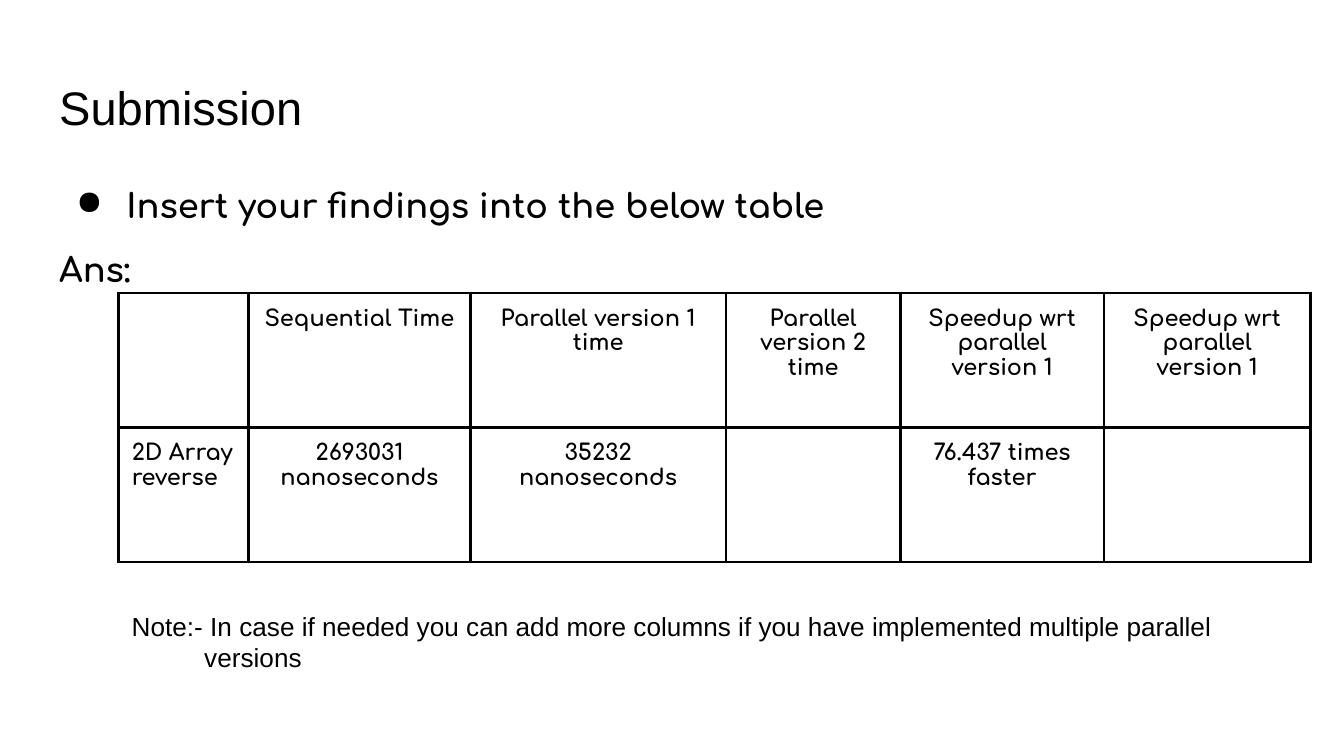
import pptx
import pptx.util
import pptx.dml.color
import pptx.enum.text
import pptx.oxml
import pptx.oxml.ns

Cm = pptx.util.Cm
Pt = pptx.util.Pt
ALIGN = pptx.enum.text.PP_ALIGN
INK = "000000"
NS = pptx.oxml.ns.nsdecls("a")


def add_run(paragraph, text, size, font, bold=False):
    """Add one run of text in the ink colour."""
    run = paragraph.add_run()
    run.text = text
    run.font.size = Pt(size)
    run.font.name = font
    run.font.bold = bold
    run.font.color.rgb = pptx.dml.color.RGBColor.from_string(INK)


def add_text_frame(left, top, width, height):
    """Add a wrapping text box, sizes in cm, and return its text frame."""
    box = slide.shapes.add_textbox(Cm(left), Cm(top), Cm(width), Cm(height))
    frame = box.text_frame
    frame.word_wrap = True
    frame.margin_left = frame.margin_right = Cm(0.25)
    frame.margin_top = frame.margin_bottom = Cm(0.25)
    return frame


deck = pptx.Presentation()
deck.slide_width = Cm(25.4)
deck.slide_height = Cm(14.29)
slide = deck.slides.add_slide(deck.slide_layouts[6])

# Title
title = add_text_frame(0.87, 1.24, 23.67, 1.6)
add_run(title.paragraphs[0], "Submission", 25.2, "Arial")

# Task and answer
body = add_text_frame(0.87, 3.2, 23.67, 3.1)
task = body.paragraphs[0]
answer = body.add_paragraph()
add_run(task, "Insert your findings into the below table", 18, "Comfortaa", True)
add_run(answer, "Ans:", 18, "Comfortaa", True)
task.line_spacing = answer.line_spacing = 1.05
answer.space_before = answer.space_after = Pt(12)
task_format = task._p.get_or_add_pPr()
task_format.set("marL", str(Cm(1.27)))
task_format.set("indent", str(Cm(-0.95)))
task_format.append(pptx.oxml.parse_xml(
    f'<a:buClr {NS}><a:srgbClr val="{INK}"/></a:buClr>'))
task_format.append(pptx.oxml.parse_xml(f'<a:buChar {NS} char="●"/>'))

# Timing table: each cell is a list of paragraphs
timings = [
    [[], ["Sequential Time"], ["Parallel version 1 time"],
     ["Parallel version 2 time"], ["Speedup wrt parallel version 1"],
     ["Speedup wrt parallel version 1"]],
    [["2D Array reverse"], ["2693031", "nanoseconds"],
     ["35232", "nanoseconds"], [], ["76.437 times", "faster"], []],
]
column_widths = [2.46, 4.19, 4.83, 3.3, 3.84, 3.91]
row_height = 2.54
table = slide.shapes.add_table(
    len(timings), len(column_widths), Cm(2.24), Cm(5.54),
    Cm(sum(column_widths)), Cm(row_height * len(timings))).table
table.first_row = table.horz_banding = False
for column, width in zip(table.columns, column_widths):
    column.width = Cm(width)

for r, row in enumerate(timings):
    table.rows[r].height = Cm(row_height)
    for c, lines in enumerate(row):
        cell = table.cell(r, c)
        cell.margin_left = cell.margin_right = Cm(0.25)
        cell.margin_top = cell.margin_bottom = Cm(0.25)
        cell.fill.background()
        cell_format = cell._tc.get_or_add_tcPr()
        for position, side in enumerate(["lnL", "lnR", "lnT", "lnB"]):
            cell_format.insert(position, pptx.oxml.parse_xml(
                f'<a:{side} {NS} w="{Pt(1.5)}"><a:solidFill>'
                f'<a:srgbClr val="{INK}"/></a:solidFill></a:{side}>'))
        for i, line in enumerate(lines):
            frame = cell.text_frame
            paragraph = frame.add_paragraph() if i else frame.paragraphs[0]
            paragraph.alignment = ALIGN.CENTER if c else ALIGN.LEFT
            add_run(paragraph, line, 12, "Comfortaa", True)

# Note, with its second line indented
note = add_text_frame(2.24, 11.28, 21.29, 1.7)
add_run(note.paragraphs[0], "Note:- In case if needed you can add more columns "
        "if you have implemented multiple parallel", 14, "Arial")
note_end = note.add_paragraph()
note_end._p.get_or_add_pPr().set("marL", str(Cm(1.37)))
add_run(note_end, "versions", 14, "Arial")

deck.save("out.pptx")
